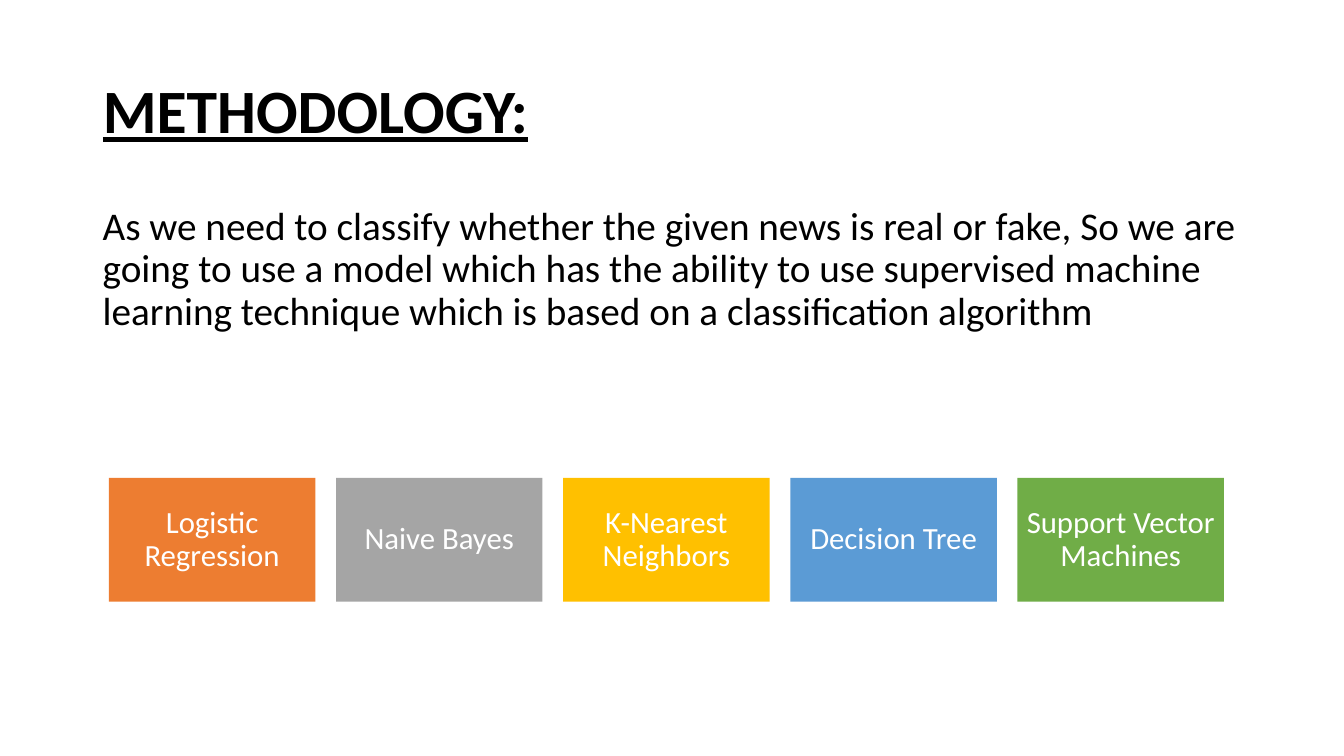
from pptx import Presentation
from pptx.dml.color import RGBColor
from pptx.enum import shapes, text
from pptx.util import Inches, Pt

FONT = "Calibri"
BLACK = RGBColor(0x00, 0x00, 0x00)
WHITE = RGBColor(0xFF, 0xFF, 0xFF)
ORANGE = RGBColor(0xED, 0x7D, 0x31)
GRAY = RGBColor(0xA5, 0xA5, 0xA5)
GOLD = RGBColor(0xFF, 0xC0, 0x00)
BLUE = RGBColor(0x5B, 0x9B, 0xD5)
GREEN = RGBColor(0x70, 0xAD, 0x47)

APPROACH = (
    "As we need to classify whether the given news is real or fake, So we are "
    "going to use a model which has the ability to use supervised machine "
    "learning technique which is based on a classification algorithm"
)
ALGORITHMS = [
    ("Logistic Regression", ORANGE),
    ("Naive Bayes", GRAY),
    ("K-Nearest Neighbors", GOLD),
    ("Decision Tree", BLUE),
    ("Support Vector Machines", GREEN),
]
GAP_SHARE = 0.1


def write_text(shape, wording, size, color, alignment, anchor):
    frame = shape.text_frame
    frame.text = wording
    frame.word_wrap = True
    frame.auto_size = text.MSO_AUTO_SIZE.NONE
    frame.vertical_anchor = anchor
    paragraph = frame.paragraphs[0]
    paragraph.alignment = alignment
    paragraph.line_spacing = 0.9
    paragraph.font.name = FONT
    paragraph.font.size = Pt(size)
    paragraph.font.color.rgb = color
    return paragraph


def place_title(slide, left, top, width, height):
    title = slide.shapes.title
    title.left, title.top, title.width, title.height = left, top, width, height
    paragraph = write_text(title, "METHODOLOGY:", 44, BLACK,
                           text.PP_ALIGN.LEFT, text.MSO_ANCHOR.MIDDLE)
    paragraph.font.bold = True
    paragraph.font.underline = True


def add_approach(slide, left, top, width, height):
    body = slide.shapes.add_textbox(left, top, width, height)
    paragraph = write_text(body, APPROACH, 28, BLACK,
                           text.PP_ALIGN.LEFT, text.MSO_ANCHOR.TOP)
    paragraph.space_before = Pt(10)


def add_algorithms(slide, left, top, width, height):
    count = len(ALGORITHMS)
    tile_width = width / (count + (count - 1) * GAP_SHARE)
    pitch = tile_width * (1 + GAP_SHARE)
    for column, (name, color) in enumerate(ALGORITHMS):
        tile = slide.shapes.add_shape(
            shapes.MSO_SHAPE.RECTANGLE,
            int(left + column * pitch), top, int(tile_width), height)
        tile.shadow.inherit = False
        tile.fill.solid()
        tile.fill.fore_color.rgb = color
        tile.line.fill.background()
        tile.text_frame.margin_left = tile.text_frame.margin_right = Inches(0.08)
        write_text(tile, name, 22, WHITE,
                   text.PP_ALIGN.CENTER, text.MSO_ANCHOR.MIDDLE)


def main():
    presentation = Presentation()
    presentation.slide_width = Inches(13.33)
    presentation.slide_height = Inches(7.5)
    slide = presentation.slides.add_slide(presentation.slide_layouts[5])
    margin, content_width = Inches(0.92), Inches(11.5)
    place_title(slide, margin, Inches(0.4), content_width, Inches(1.45))
    add_approach(slide, margin, Inches(2), content_width, Inches(4.76))
    add_algorithms(slide, Inches(1.08), Inches(4.74), Inches(11.06), Inches(1.23))
    presentation.save("out.pptx")


if __name__ == "__main__":
    main()
